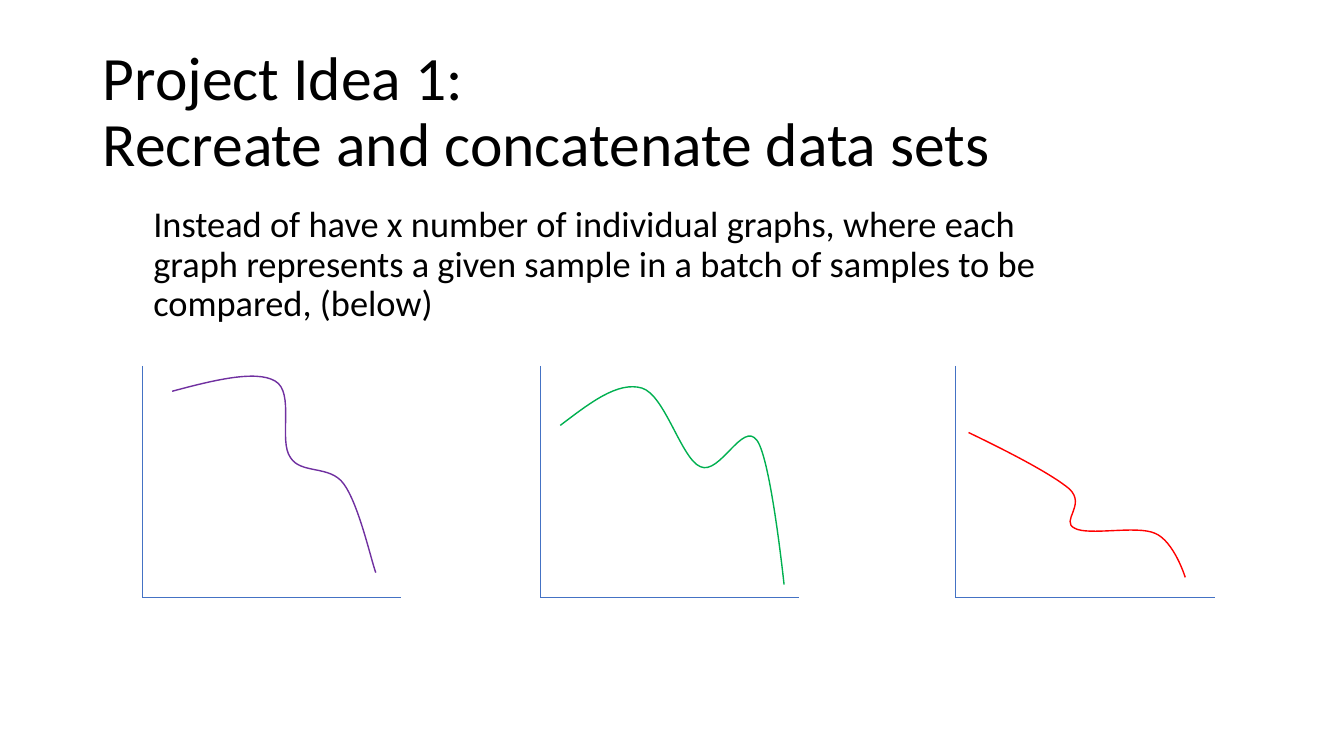
from dataclasses import dataclass

import lxml.etree
import pptx
import pptx.dml.color
import pptx.enum.shapes
import pptx.enum.text
import pptx.oxml.ns
import pptx.shapes.base
import pptx.slide
import pptx.util
from pptx.util import Cm

COLORS = {
    "text": "000000",
    "axis": "4472C4",
    "purple": "7030A0",
    "green": "00B050",
    "red": "FF0000",
}
FONT = "Calibri"
AXIS_TOP, AXIS_BASE, AXIS_LENGTH = 9.22, 15.06, 6.53
Point = tuple[float, float]


@dataclass(frozen=True)
class Caption:
    """A block of text; lengths in centimetres, sizes in points."""
    text: str
    left: float
    top: float
    width: float
    height: float
    size: int
    anchor: pptx.enum.text.MSO_ANCHOR
    indent: float = 0
    space_before: int = 0


@dataclass(frozen=True)
class SampleGraph:
    """Axes and a curve: a start, then two controls and an end per bend."""
    axis_left: float
    color: str
    points: tuple[Point, ...]


CAPTIONS = (
    Caption("Project Idea 1: \vRecreate and concatenate data sets ",
            2.34, 1.02, 29.21, 3.68, 44, pptx.enum.text.MSO_ANCHOR.MIDDLE),
    Caption("Instead of have x number of individual graphs, where each graph "
            "represents a given sample in a batch of samples to be compared, "
            "(below)",
            2.34, 5.08, 24.43, 3.78, 26, pptx.enum.text.MSO_ANCHOR.TOP,
            indent=1.27, space_before=5),
)

SAMPLE_GRAPHS = (
    SampleGraph(3.58, "purple", (
        (4.34, 9.86),
        (5.38, 9.58), (6.45, 9.32), (6.93, 9.60),
        (7.44, 9.88), (7.01, 11.10), (7.32, 11.53),
        (7.59, 11.96), (8.31, 11.71), (8.66, 12.19),
        (9.04, 12.70), (9.35, 14.10), (9.47, 14.43))),
    SampleGraph(13.61, "green", (
        (14.12, 10.72),
        (14.86, 10.16), (15.57, 9.60), (16.18, 9.78),
        (16.76, 9.96), (17.17, 11.56), (17.65, 11.76),
        (18.14, 11.99), (18.72, 10.59), (19.08, 11.10),
        (19.43, 11.58), (19.76, 14.73), (19.76, 14.73))),
    SampleGraph(24.08, "red", (
        (24.41, 10.90),
        (25.45, 11.40), (26.49, 11.94), (26.95, 12.32),
        (27.38, 12.73), (26.72, 13.13), (27.08, 13.31),
        (27.43, 13.51), (28.65, 13.23), (29.11, 13.44),
        (29.59, 13.64), (29.87, 14.55), (29.87, 14.55))),
)


def rgb(name: str) -> pptx.dml.color.RGBColor:
    """Return the named colour."""
    return pptx.dml.color.RGBColor.from_string(COLORS[name])


def style_line(shape: pptx.shapes.base.BaseShape, color: str, width: float) -> None:
    """Set the colour and width (points) of a line."""
    shape.line.color.rgb = rgb(color)
    shape.line.width = pptx.util.Pt(width)


def add_caption(slide: pptx.slide.Slide, caption: Caption) -> None:
    """Add one wrapped block of text."""
    box = slide.shapes.add_textbox(Cm(caption.left), Cm(caption.top),
                                   Cm(caption.width), Cm(caption.height))
    frame = box.text_frame
    frame.word_wrap = True
    frame.vertical_anchor = caption.anchor
    frame.margin_left += Cm(caption.indent)
    paragraph = frame.paragraphs[0]
    paragraph.text = caption.text
    paragraph.line_spacing = 0.9
    paragraph.space_before = pptx.util.Pt(caption.space_before)
    for run in paragraph.runs:
        run.font.name = FONT
        run.font.size = pptx.util.Pt(caption.size)
        run.font.color.rgb = rgb("text")


def add_axis(slide: pptx.slide.Slide, start: Point, end: Point) -> None:
    """Add one straight axis without a shadow."""
    axis = slide.shapes.add_connector(
        pptx.enum.shapes.MSO_CONNECTOR.STRAIGHT,
        *(Cm(length) for length in (*start, *end)))
    style_line(axis, "axis", 0.5)
    lxml.etree.SubElement(axis._element.spPr, pptx.oxml.ns.qn("a:effectLst"))


def add_curve(slide: pptx.slide.Slide, graph: SampleGraph) -> None:
    """Join the graph's anchors, then bend each segment into a cubic curve."""
    points = [(Cm(x), Cm(y)) for x, y in graph.points]
    builder = slide.shapes.build_freeform(*points[0])
    builder.add_line_segments(points[3::3], close=False)
    curve = builder.convert_to_shape()
    curve.shadow.inherit = False
    curve.fill.background()
    style_line(curve, graph.color, 1)
    segments = list(curve._element.iter(pptx.oxml.ns.qn("a:lnTo")))
    for index, segment in enumerate(segments):
        segment.tag = pptx.oxml.ns.qn("a:cubicBezTo")
        controls = points[3 * index + 1:3 * index + 3]
        for position, (x, y) in enumerate(controls):
            control = lxml.etree.Element(pptx.oxml.ns.qn("a:pt"))
            control.set("x", str(x - curve.left))
            control.set("y", str(y - curve.top))
            segment.insert(position, control)


def add_sample_graph(slide: pptx.slide.Slide, graph: SampleGraph) -> None:
    """Add both axes and the curve of one sample."""
    origin = (graph.axis_left, AXIS_BASE)
    add_axis(slide, (graph.axis_left, AXIS_TOP), origin)
    add_axis(slide, origin, (graph.axis_left + AXIS_LENGTH, AXIS_BASE))
    add_curve(slide, graph)


def main() -> None:
    """Build and save the slide."""
    presentation = pptx.Presentation()
    presentation.slide_width = Cm(33.87)
    presentation.slide_height = Cm(19.05)
    slide = presentation.slides.add_slide(presentation.slide_layouts[6])
    for caption in CAPTIONS:
        add_caption(slide, caption)
    for graph in SAMPLE_GRAPHS:
        add_sample_graph(slide, graph)
    presentation.save("out.pptx")


main()
